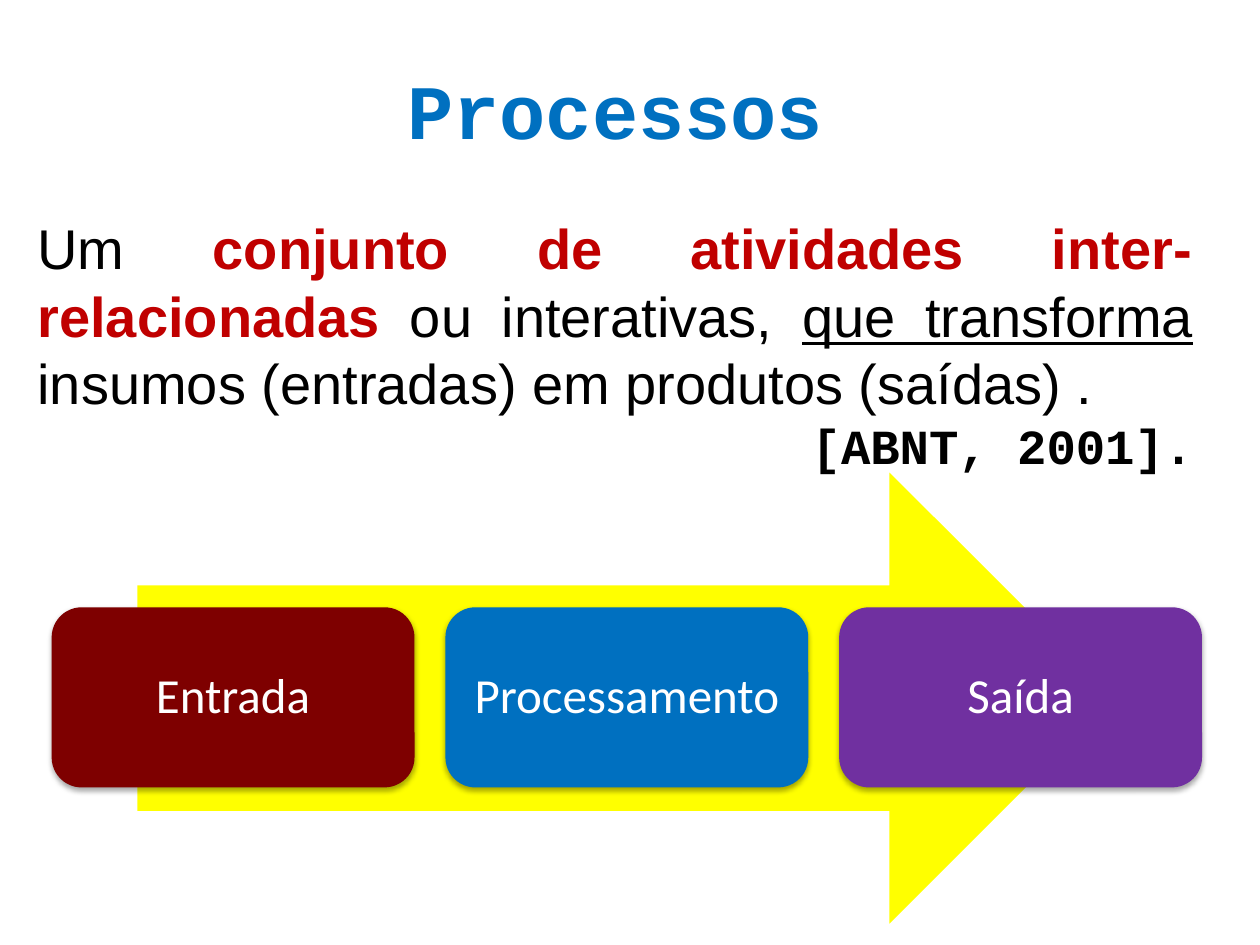
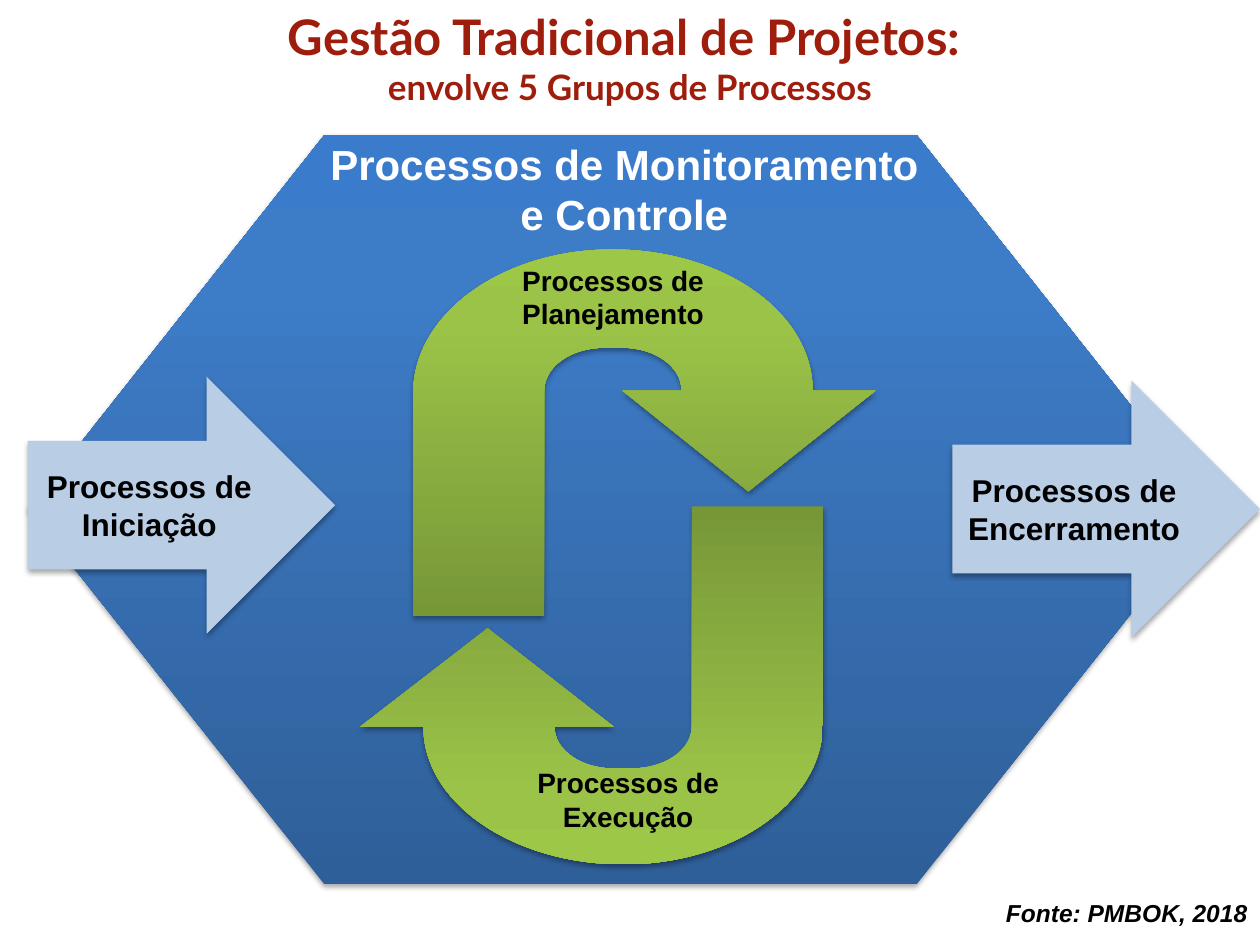
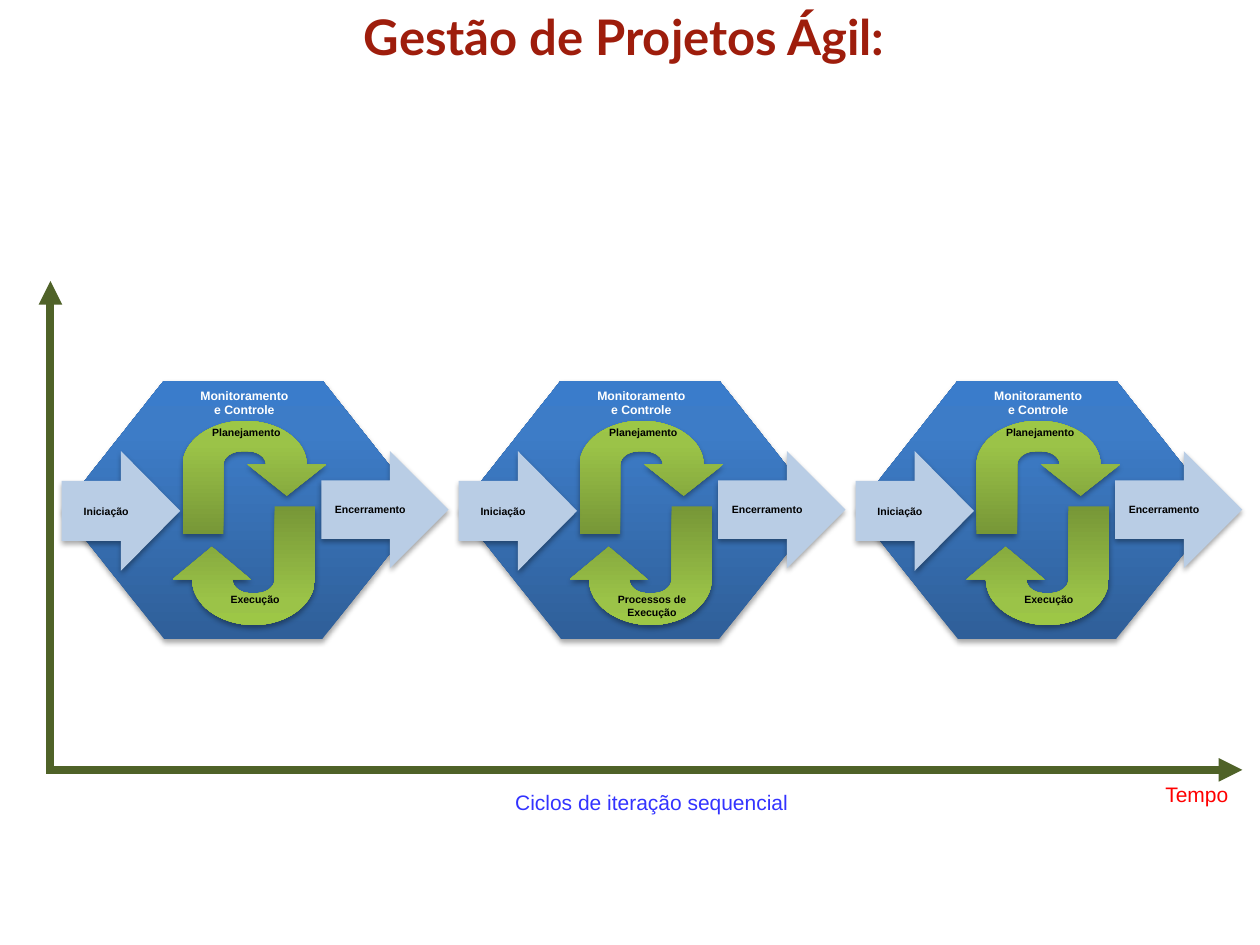
from copy import deepcopy
from pptx import Presentation
from pptx.dml.color import RGBColor
from pptx.enum.shapes import MSO_CONNECTOR as Line, MSO_SHAPE as Form
from pptx.enum.text import MSO_ANCHOR as Anchor, PP_ALIGN as Align
from pptx.oxml import parse_xml
from pptx.oxml.ns import nsdecls, qn
from pptx.util import Inches, Pt

COLORS = {
    "black": "000000", "white": "FFFFFF", "blue": "0070C0", "red": "C00000",
    "title": "9E1D0C", "yellow": "FFFF00", "wine": "7E0000", "purple": "7030A0",
    "pale": "B9CDE5", "axis": "4F6228", "time": "FF0000", "note": "3333FF",
}
HEX_FADE = [(0, "2F5F99"), (0.8, "3D7CC7"), (1, "3A7CCB")]
TURN_FADE = [(0, "779737"), (0.8, "9BC348"), (1, "9DC746")]

QUOTE = [
    ("Um ", "black", False, False),
    ("conjunto de atividades inter-relacionadas ", "red", True, False),
    ("ou interativas, ", "black", False, False),
    ("que transforma ", "black", False, True),
    ("insumos (entradas) em produtos (saídas) .", "black", False, False),
]
STEPS = [("Entrada", "wine"), ("Processamento", "blue"), ("Saída", "purple")]

BIG = {
    "hex": (0.22, 1.07, 9.41, 5.95),
    "plan": (3.28, 1.98, 3.67, 2.91), "plan text": (3.52, 2.04, 2.69, 0.64),
    "run": (2.86, 4.02, 3.67, 2.84), "run text": (3.64, 6.03, 2.69, 0.64),
    "watch": (2.25, 1.05, 5.41, 0.91),
    "start": (0.22, 2.99, 2.44, 2.04), "end": (7.56, 3.02, 2.44, 2.04),
    "sizes": (24, 16, 18),
}
SMALL = {
    "hex": (0.49, 3.02, 2.88, 2.05),
    "plan": (1.45, 3.34, 1.14, 0.9), "plan text": (1.43, 3.33, 1.05, 0.2),
    "run": (1.37, 4.02, 1.13, 0.94), "run text": (1.61, 4.66, 0.83, 0.2),
    "watch": (1.01, 3.03, 1.86, 0.34),
    "start": (0.49, 3.58, 0.94, 0.95), "end": (2.55, 3.58, 1.01, 0.93),
    "sizes": (7, 6, 6),
}
BIG_TEXT = {
    "watch": "Processos de Monitoramento\ne Controle",
    "plan": "Processos de Planejamento", "run": "Processos de Execução",
    "start": "Processos de\nIniciação", "end": "Processos de\nEncerramento",
}
SMALL_TEXT = {
    "watch": "Monitoramento\ne Controle", "plan": "Planejamento",
    "run": "Execução", "start": "Iniciação", "end": "Encerramento",
}
RUNS = ["Execução", "Processos de Execução", "Execução"]
PITCH = 3.15

TURN_SIZE = (3.67, 2.91)
TURN = [
    [(2.66, 1.92)], [(3.67, 1.12)], [(3.17, 1.12)],
    [(3.17, 0.5), (2.46, 0), (1.58, 0)], [(0.71, 0), (0, 0.51), (0, 1.14)],
    [(0, 2.91)], [(1.04, 2.91)], [(1.04, 1.12)],
    [(1.04, 0.93), (1.25, 0.78), (1.52, 0.78)], [(1.66, 0.78)],
    [(1.92, 0.78), (2.13, 0.93), (2.13, 1.12)], [(1.66, 1.12)],
]


def rgb(name):
    """Return a palette colour, or a plain hex one."""
    return RGBColor.from_string(COLORS.get(name, name))


def style(para, size, color, face="Arial", bold=True, align=Align.CENTER):
    """Set the look of a whole paragraph."""
    para.alignment = align
    font = para.font
    font.name, font.size, font.bold = face, Pt(size), bold
    font.color.rgb = rgb(color)


def write(frame, text, *look, **more):
    """Write lines of text in one look."""
    frame.text = text
    for para in frame.paragraphs:
        style(para, *look, **more)


def label(slide, box, text, *look, wrap=True, **more):
    """Add a text box and return its frame."""
    frame = slide.shapes.add_textbox(*map(Inches, box)).text_frame
    frame.word_wrap = wrap
    write(frame, text, *look, **more)
    return frame


def paint(shape, fill, shade=True):
    """Fill a shape plainly or with a fade, with an optional shadow."""
    shape.line.fill.background()
    if isinstance(fill, str):
        shape.fill.solid()
        shape.fill.fore_color.rgb = rgb(fill)
    else:
        shape.fill.gradient()
        shape.fill.gradient_angle = 90
        stops = shape._element.spPr.find(qn("a:gradFill")).find(qn("a:gsLst"))
        stops.append(deepcopy(stops[0]))
        for stop, (place, color) in zip(shape.fill.gradient_stops, fill):
            stop.position = place
            stop.color.rgb = rgb(color)
    shape.shadow.inherit = False
    if shade:
        shape._element.spPr.find(qn("a:effectLst")).append(parse_xml(
            f'<a:outerShdw {nsdecls("a")} blurRad="40000" dist="23000" dir="5400000" '
            'rotWithShape="0"><a:srgbClr val="000000"><a:alpha val="35000"/>'
            '</a:srgbClr></a:outerShdw>'))


def block(slide, form, box, fill, shade=True):
    """Add a painted preset shape."""
    shape = slide.shapes.add_shape(form, *map(Inches, box))
    paint(shape, fill, shade)
    return shape


def bend(shape, parts):
    """Join each three-point part of an outline into one curve."""
    legs = iter(list(shape._element.iter(qn("a:lnTo"))))
    for part in parts:
        group = [next(legs) for _ in part]
        if len(group) == 3:
            curve = parse_xml(f'<a:cubicBezTo {nsdecls("a")}/>')
            group[0].addprevious(curve)
            for leg in group:
                curve.append(leg[0])
                leg.getparent().remove(leg)


def turn(slide, box, angle=0):
    """Add a U-turn arrow."""
    left, top, wide, high = box
    across, down = wide / TURN_SIZE[0], high / TURN_SIZE[1]
    dots = [(Inches(left + x * across), Inches(top + y * down))
            for part in TURN for x, y in part]
    pen = slide.shapes.build_freeform(*dots[0])
    pen.add_line_segments(dots[1:], close=True)
    shape = pen.convert_to_shape()
    bend(shape, TURN[1:])
    shape.rotation = angle
    paint(shape, TURN_FADE)


def cycle(slide, plan, words, shift=0):
    """Draw the five process groups."""
    def at(key):
        left, *rest = plan[key]
        return (left + shift, *rest)

    head, flow, side = plan["sizes"]
    shape = block(slide, Form.HEXAGON, at("hex"), HEX_FADE)
    shape.adjustments[0] = 0.396
    for key, angle in (("plan", 0), ("run", 180)):
        turn(slide, at(key), angle)
        label(slide, at(key + " text"), words[key], flow, "black")
    label(slide, at("watch"), words["watch"], head, "white")
    for key in ("start", "end"):
        arrow = block(slide, Form.RIGHT_ARROW, at(key), "pale")
        arrow.text_frame.vertical_anchor = Anchor.MIDDLE
        write(arrow.text_frame, words[key], side, "black")


def axis(slide, *ends):
    """Draw a thick axis with an arrowhead."""
    line = slide.shapes.add_connector(Line.STRAIGHT, *map(Inches, ends))
    line.line.width = Pt(4.5)
    line.line.color.rgb = rgb("axis")
    line.line._get_or_add_ln().append(
        parse_xml(f'<a:tailEnd {nsdecls("a")} type="triangle"/>'))
    line._element.spPr.append(parse_xml(f'<a:effectLst {nsdecls("a")}/>'))


def define(slide):
    """Build the definition of a process."""
    frame = label(slide, (0.2, 0.45, 9.37, 3.4), "Processos", 44, "blue", face="Courier New")
    para = frame.add_paragraph()
    para.alignment, para.space_before = Align.JUSTIFY, Pt(33.5)
    para.font.name, para.font.size = "Arial", Pt(32)
    for text, color, bold, under in QUOTE:
        run = para.add_run()
        run.text = text
        run.font.bold, run.font.underline = bold, under
        run.font.color.rgb = rgb(color)
    para = frame.add_paragraph()
    para.text = "[ABNT, 2001]."
    style(para, 28, "black", "Courier New", align=Align.RIGHT)

    block(slide, Form.RIGHT_ARROW, (1.09, 3.75, 7.76, 3.58), "yellow", False)
    first, last = 0.41, 6.66
    step = (last - first) / (len(STEPS) - 1)
    for i, (text, color) in enumerate(STEPS):
        card = block(slide, Form.ROUNDED_RECTANGLE, (first + i * step, 4.82, 2.88, 1.43), color)
        frame = card.text_frame
        frame.vertical_anchor = Anchor.MIDDLE
        frame.margin_left = frame.margin_right = Inches(0.12)
        frame.margin_top = frame.margin_bottom = Inches(0.12)
        write(frame, text, 28, "white", face="Calibri", bold=False)
        frame.paragraphs[0].line_spacing = 0.9


def classic(slide):
    """Build the traditional management slide."""
    cycle(slide, BIG, BIG_TEXT)
    frame = label(slide, (0, 0, 10, 0.91),
                  "Gestão Tradicional de Projetos: \nenvolve 5 Grupos de Processos",
                  28, "title", face="Lato")
    frame.paragraphs[1].font.size = Pt(20)
    frame = label(slide, (6.2, 7.08, 3.8, 0.34), "Fonte: PMBOK, 2018",
                  14, "black", align=Align.RIGHT)
    frame.paragraphs[0].font.italic = True


def agile(slide):
    """Build the agile management slide."""
    label(slide, (0, 0, 10, 0.57), "Gestão de Projetos Ágil: ", 28, "title", face="Lato")
    for i, text in enumerate(RUNS):
        cycle(slide, SMALL, {**SMALL_TEXT, "run": text}, i * PITCH)
    axis(slide, 0.4, 6.14, 0.4, 2.23)
    axis(slide, 0.37, 6.11, 9.86, 6.11)
    plain = {"bold": False, "align": Align.LEFT, "wrap": False}
    label(slide, (9.15, 6.15, 0.71, 0.3), "Tempo", 12, "time", **plain)
    label(slide, (3.99, 6.22, 2.38, 0.3), "Ciclos de iteração sequencial", 12, "note", **plain)


def main():
    """Build and save the deck."""
    deck = Presentation()
    deck.slide_width, deck.slide_height = Inches(10), Inches(7.5)
    for build in (define, classic, agile):
        build(deck.slides.add_slide(deck.slide_layouts[6]))
    deck.save("out.pptx")


if __name__ == "__main__":
    main()
